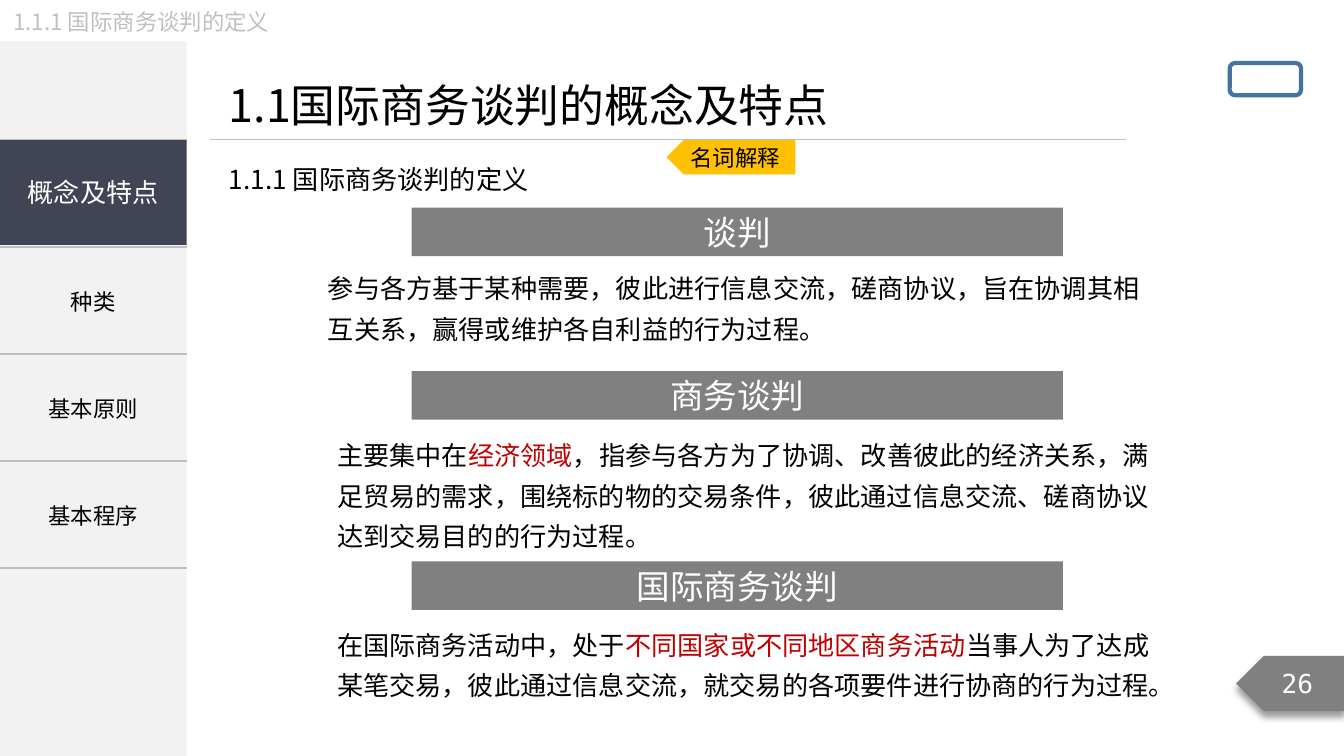
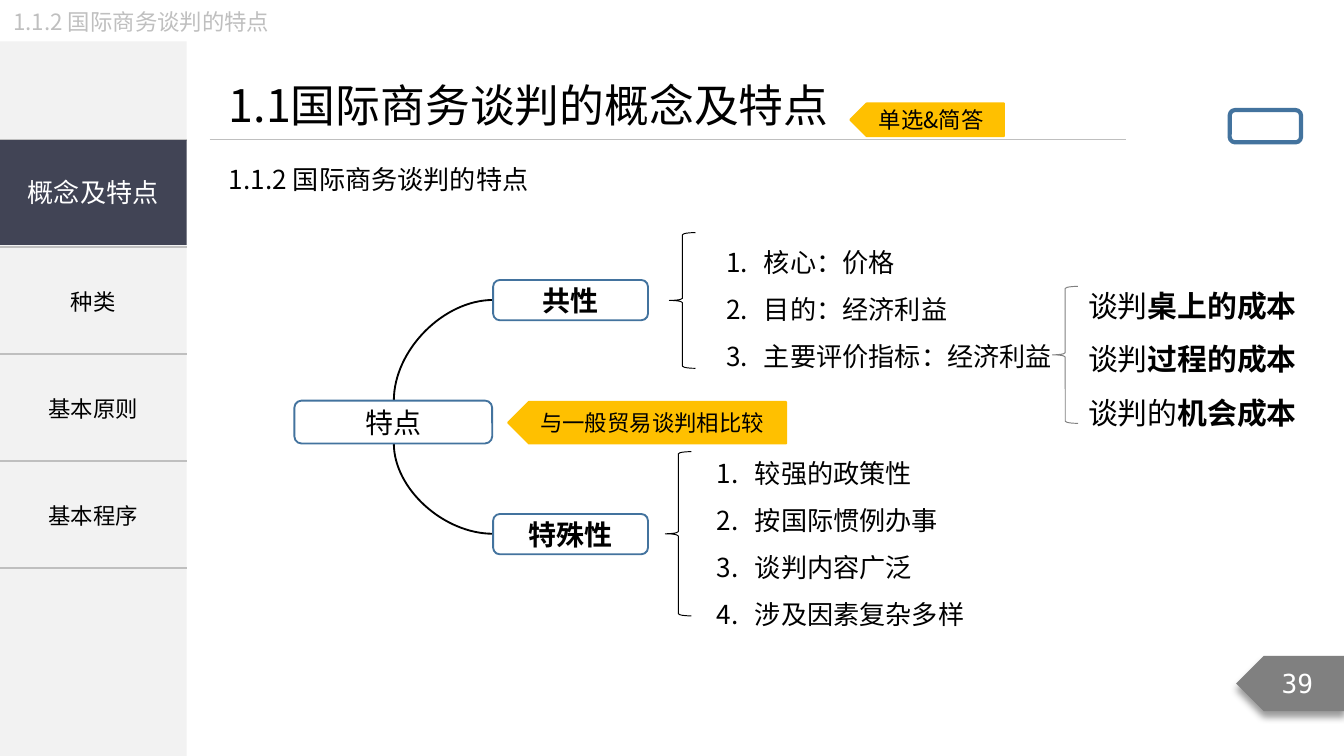
from lxml.etree import SubElement
from pptx import Presentation
from pptx.dml.color import RGBColor
from pptx.enum.shapes import MSO_CONNECTOR, MSO_SHAPE
from pptx.enum.text import MSO_ANCHOR, MSO_AUTO_SIZE, PP_ALIGN
from pptx.oxml.ns import qn
from pptx.util import Pt

COLORS = {
    "panel": "F2F2F2",
    "rule": "BFBFBF",
    "active": "414455",
    "gray": "808080",
    "tag": "FFC000",
    "outline": "43739E",
    "key": "C00000",
    "black": "000000",
    "white": "FFFFFF",
}
FONT = "Noto Sans CJK SC"
NUMBER_FONT = "DejaVu Sans Mono"
CHAPTER = "1.1国际商务谈判的概念及特点"
MENU = ["概念及特点", "种类", "基本原则", "基本程序"]
MENU_TOP, MENU_WIDTH, MENU_ROW = 75, 100, 57.3


def rgb(name):
    return RGBColor.from_string(COLORS[name])


def write(frame, text, size=14, color="black", bold=False, font=FONT, align=PP_ALIGN.LEFT,
          spacing=None, numbered=False, key_color=None, key_bold=False):
    for index, line in enumerate(text.split("\n")):
        para = frame.paragraphs[0] if index == 0 else frame.add_paragraph()
        para.alignment = align
        if spacing:
            para.line_spacing = spacing
        if numbered:
            properties = para._p.get_or_add_pPr()
            properties.set("marL", str(Pt(20.3)))
            properties.set("indent", str(Pt(-20.3)))
            SubElement(properties, qn("a:buFontTx"))
            SubElement(properties, qn("a:buAutoNum"), type="arabicPeriod")
        for position, part in enumerate(line.split("|")):
            is_key = position % 2 == 1
            span = para.add_run()
            span.text = part
            span.font.size = Pt(size)
            span.font.bold = bold or (is_key and key_bold)
            span.font.name = font
            SubElement(span._r.get_or_add_rPr(), qn("a:ea"), typeface=font)
            span.font.color.rgb = rgb(key_color if is_key and key_color else color)


class PageBuilder:
    def __init__(self, deck):
        self.deck = deck
        self.page = None

    def start(self, heading, number):
        self.page = self.deck.slides.add_slide(self.deck.slide_layouts[6])
        self.shape(MSO_SHAPE.RECTANGLE, 0, 22.2, MENU_WIDTH, 382.8, fill="panel")
        self.menu()
        self.line(112.3, MENU_TOP, 603.4, MENU_TOP, "rule", 0.5)
        self.text(117.4, 38.9, 338.4, 34.6, CHAPTER, wrap=False, size=24)
        self.text(117.4, 85, 180.7, 22.3, heading, wrap=False)
        self.text(0, 0.7, 229.7, 21.6, heading, inset=(7.2, 3.6), size=12, color="rule")
        badge = self.shape(MSO_SHAPE.PENTAGON, 662.2, 351.4, 58.3, 29.5, str(number),
                           fill="gray", flip=True, color="white", font=NUMBER_FONT)
        self.shadow(badge)

    def shape(self, kind, left, top, width, height, text="", fill=None, line=None, weight=1,
              flip=False, **style):
        shape = self.page.shapes.add_shape(kind, Pt(left), Pt(top), Pt(width), Pt(height))
        shape.shadow.inherit = False
        if fill:
            shape.fill.solid()
            shape.fill.fore_color.rgb = rgb(fill)
        else:
            shape.fill.background()
        if line:
            shape.line.color.rgb = rgb(line)
            shape.line.width = Pt(weight)
        else:
            shape.line.fill.background()
        if flip:
            shape._element.spPr.find(qn("a:xfrm")).set("flipH", "1")
        if text:
            self.frame(shape.text_frame, (5.2, 2.6), MSO_ANCHOR.MIDDLE)
            write(shape.text_frame, text, align=PP_ALIGN.CENTER, **style)
        return shape

    def frame(self, frame, inset, anchor, wrap=True):
        frame.word_wrap = wrap
        frame.vertical_anchor = anchor
        frame.margin_left = frame.margin_right = Pt(inset[0])
        frame.margin_top = frame.margin_bottom = Pt(inset[1])

    def text(self, left, top, width, height, text, inset=(5.2, 2.6), wrap=True, **style):
        box = self.page.shapes.add_textbox(Pt(left), Pt(top), Pt(width), Pt(height))
        self.frame(box.text_frame, inset, MSO_ANCHOR.TOP, wrap)
        box.text_frame.auto_size = MSO_AUTO_SIZE.SHAPE_TO_FIT_TEXT
        write(box.text_frame, text, **style)

    def line(self, x1, y1, x2, y2, color, weight, curved=False):
        kind = MSO_CONNECTOR.CURVE if curved else MSO_CONNECTOR.STRAIGHT
        line = self.page.shapes.add_connector(kind, Pt(x1), Pt(y1), Pt(x2), Pt(y2))
        line.line.color.rgb = rgb(color)
        line.line.width = Pt(weight)
        properties = line._element.spPr
        SubElement(properties, qn("a:effectLst"))
        if curved:
            properties.find(qn("a:prstGeom")).set("prst", "curvedConnector2")

    def shadow(self, shape):
        effects = shape._element.spPr.find(qn("a:effectLst"))
        outer = SubElement(effects, qn("a:outerShdw"), blurRad=str(Pt(4)), dist=str(Pt(3)),
                           dir="5400000", algn="t", rotWithShape="0")
        color = SubElement(outer, qn("a:srgbClr"), val=COLORS["black"])
        SubElement(color, qn("a:alpha"), val="40000")

    def menu(self):
        graphic = self.page.shapes.add_table(len(MENU), 1, 0, Pt(MENU_TOP), Pt(MENU_WIDTH),
                                             Pt(MENU_ROW * len(MENU)))
        table = graphic.table
        table.first_row = table.horz_banding = False
        for index, label in enumerate(MENU):
            table.rows[index].height = Pt(MENU_ROW)
            cell = table.cell(index, 0)
            cell.vertical_anchor = MSO_ANCHOR.MIDDLE
            cell.margin_left = cell.margin_right = Pt(5.2)
            cell.margin_top = cell.margin_bottom = Pt(2.6)
            self.cell_borders(cell)
            cell.fill.background()
            if index:
                write(cell.text_frame, label, size=12, align=PP_ALIGN.CENTER)
        self.shape(MSO_SHAPE.RECTANGLE, 0, MENU_TOP, MENU_WIDTH, 56.2, MENU[0],
                   fill="active", color="white")

    def cell_borders(self, cell):
        properties = cell._tc.get_or_add_tcPr()
        for side in ("L", "R", "T", "B"):
            border = SubElement(properties, qn(f"a:ln{side}"), w=str(Pt(1)))
            if side in "LR":
                SubElement(border, qn("a:noFill"))
            else:
                fill = SubElement(border, qn("a:solidFill"))
                SubElement(fill, qn("a:srgbClr"), val=COLORS["rule"])

    def tag(self, left, top, width, height, text):
        self.shape(MSO_SHAPE.PENTAGON, left, top, width, height, text, fill="tag", line="tag",
                   flip=True, size=12)

    def button(self, top):
        self.shape(MSO_SHAPE.ROUNDED_RECTANGLE, 658.8, top, 38.2, 17.3, line="outline",
                   weight=2.25)

    def node(self, left, top, width, height, text, bold=False):
        self.shape(MSO_SHAPE.ROUNDED_RECTANGLE, left, top, width, height, text,
                   line="outline", size=15, bold=bold)

    def brace(self, left, top, width, height, color="black"):
        self.shape(MSO_SHAPE.LEFT_BRACE, left, top, width, height, line=color, weight=0.5)

    def definition(self, bar_top, term, left, top, height, text):
        self.shape(MSO_SHAPE.RECTANGLE, 220.5, bar_top, 349, 26, term, fill="gray",
                   color="white", size=18)
        self.text(left, top, 450.7, height, text, inset=(5.6, 2.8), spacing=1.3,
                  key_color="key")


def build_definitions(builder):
    builder.start("1.1.1 国际商务谈判的定义", 26)
    builder.tag(357.8, 75.6, 67.9, 17.3, "名词解释")
    builder.definition(
        111.2, "谈判", 170.1, 138.2, 49.7,
        "参与各方基于某种需要，彼此进行信息交流，磋商协议，旨在协调其相互关系，赢得或维护各自利益的行为过程。")
    builder.definition(
        198.8, "商务谈判", 175, 227.5, 72,
        "主要集中在|经济领域|，指参与各方为了协调、改善彼此的经济关系，满足贸易的需求，"
        "围绕标的物的交易条件，彼此通过信息交流、磋商协议达到交易目的的行为过程。")
    builder.definition(
        300.7, "国际商务谈判", 175, 329.2, 50.4,
        "在国际商务活动中，处于|不同国家或不同地区商务活动|当事人为了达成某笔交易，"
        "彼此通过信息交流，就交易的各项要件进行协商的行为过程。")
    builder.button(33.8)


def build_features(builder):
    builder.start("1.1.2 国际商务谈判的特点", 39)
    builder.tag(455.5, 55.4, 82.4, 17.6, "单选&简答")
    builder.tag(272.2, 215.3, 149, 22.3, "与一般贸易谈判相比较")
    builder.button(59)
    for x, y, end in ((264.2, 160.7, 214.6), (264.2, 286, 237.6)):
        builder.line(x, y, 211, end, "black", 1, curved=True)
    builder.node(157.7, 214.6, 106, 23, "特点")
    builder.node(264.2, 150, 83, 21.6, "共性", bold=True)
    builder.node(264.2, 275.4, 83, 21.6, "特殊性", bold=True)
    builder.brace(358.6, 124.6, 14, 72.7)
    builder.brace(356.4, 242, 14, 88)
    builder.brace(563.8, 153.4, 13.7, 73.4, "gray")
    builder.text(383.8, 121, 213, 82, "核心：价格\n目的：经济利益\n主要评价指标：经济利益",
                 spacing=1.5, numbered=True)
    builder.text(378.9, 234, 179.3, 107.3,
                 "较强的政策性\n按国际惯例办事\n谈判内容广泛\n涉及因素复杂多样",
                 spacing=1.5, numbered=True)
    builder.text(577.8, 141.8, 132.5, 92.9,
                 "谈判|桌上的成本\n谈判|过程的成本\n谈判的|机会成本",
                 size=16, spacing=1.5, key_bold=True)


def main():
    deck = Presentation()
    deck.slide_width, deck.slide_height = Pt(720), Pt(405)
    builder = PageBuilder(deck)
    build_definitions(builder)
    build_features(builder)
    deck.save("out.pptx")


if __name__ == "__main__":
    main()
